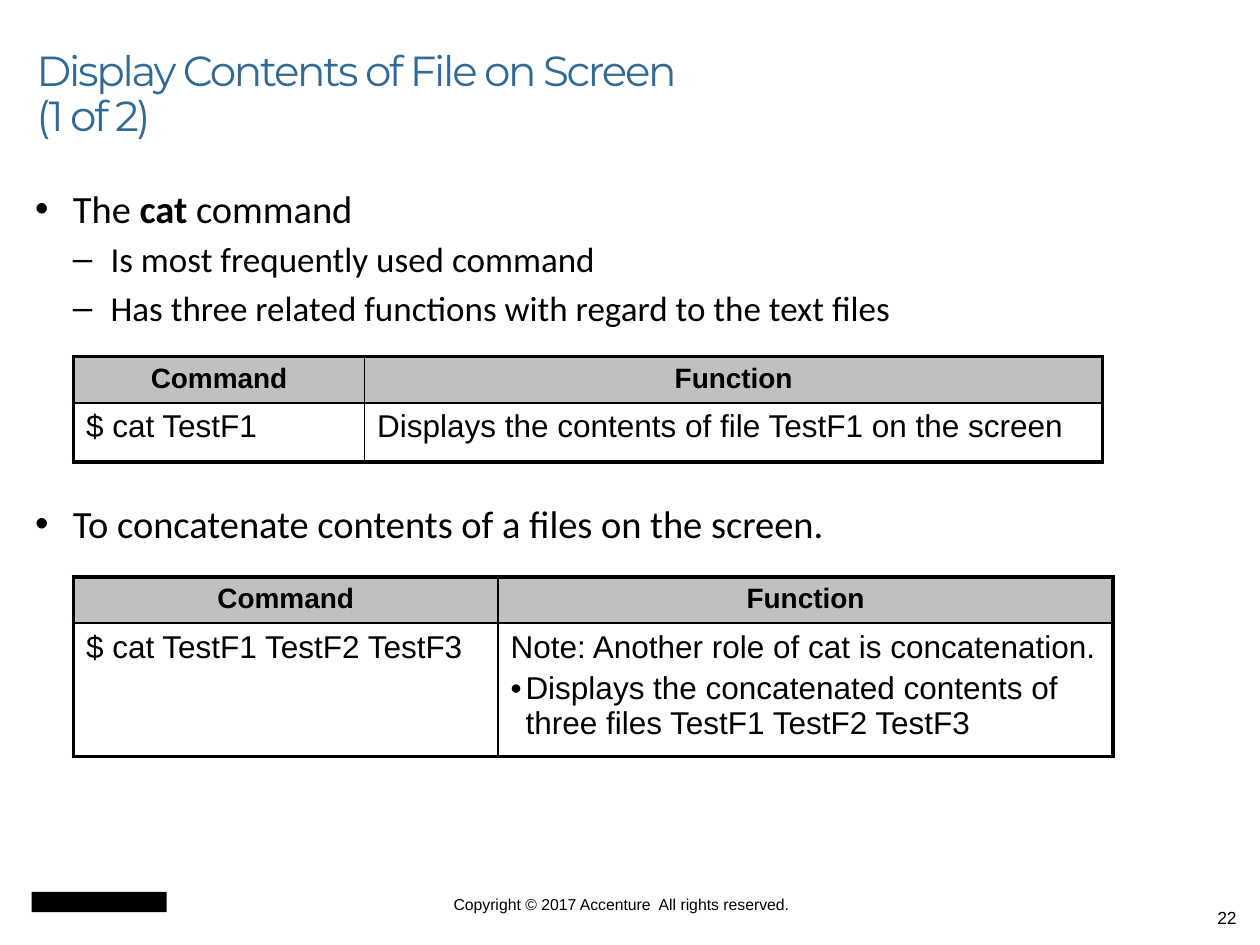
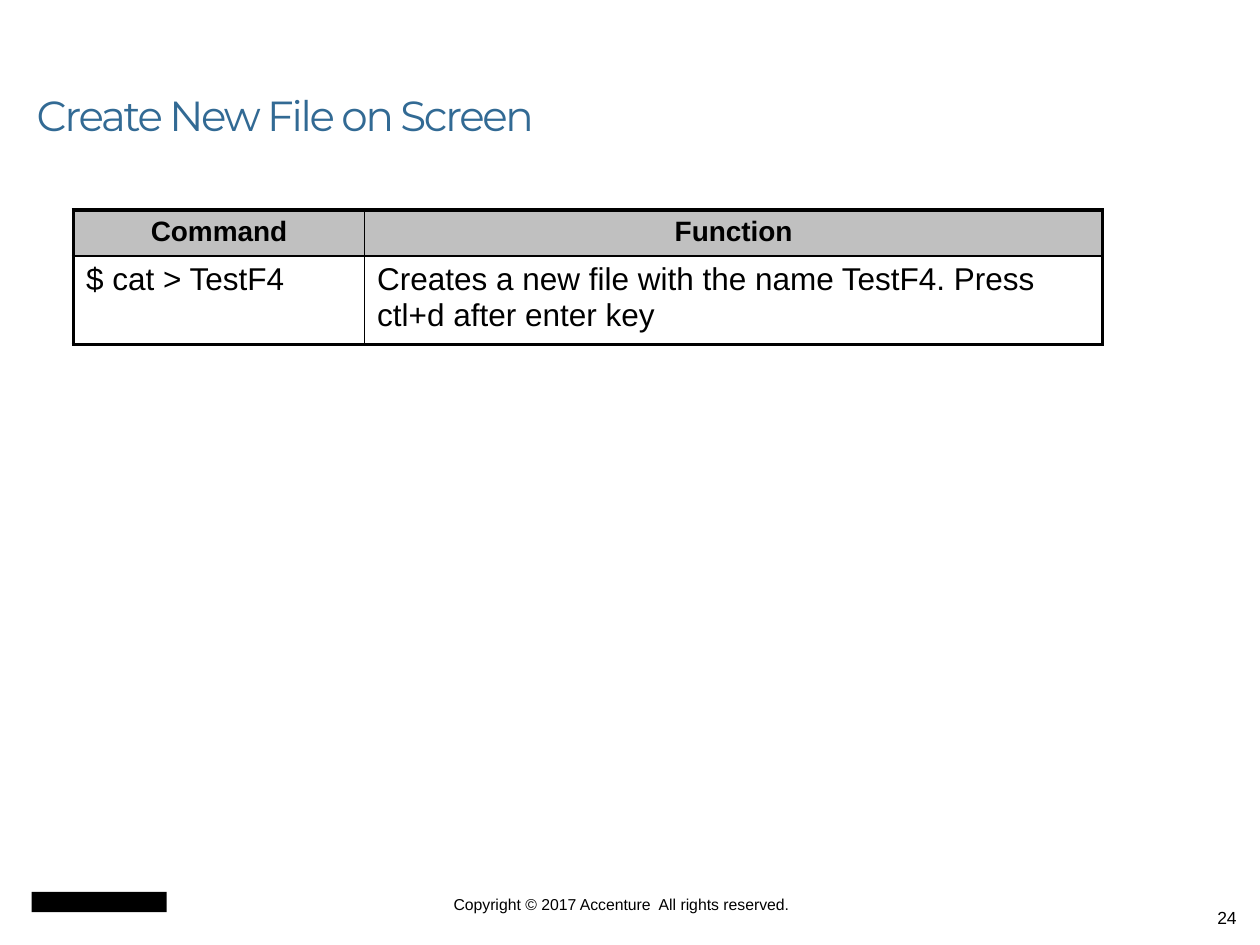
from lxml import etree
from pptx import Presentation
from pptx import util as u
from pptx.dml.color import RGBColor
from pptx.enum import shapes, text
from pptx.oxml import ns

BLACK = RGBColor(0x00, 0x00, 0x00)
TITLE_BLUE = RGBColor(0x32, 0x6A, 0x94)
GREY = RGBColor(0xC0, 0xC0, 0xC0)
TITLE_FONT, BODY_FONT, TABLE_FONT = "Montserrat", "Calibri", "Arial"
LEFT, CENTER, RIGHT = text.PP_ALIGN.LEFT, text.PP_ALIGN.CENTER, text.PP_ALIGN.RIGHT
OUTER, INNER = u.Pt(2.25), u.Pt(1)
TABLE_LEFT, HEADER_HEIGHT = 1.48, 0.91
TABLE_GAP = u.Pt(98)  # room a table takes between two bullets

# Each slide: number, title lines, bullets (level, follows a table, runs) and
# tables (top, column widths, row height, command, function lines)
SLIDES = [
    (
        "22",
        ["Display Contents of File on Screen ", "(1 of 2)"],
        [
            (0, False, [("The ", False), ("cat", True), (" command", False)]),
            (1, False, [("Is most frequently used command", False)]),
            (1, False, [("Has three related functions with regard to the text files", False)]),
            (0, True, [("To concatenate contents of a files on the screen.", False)]),
        ],
        [
            (7.19, [5.87, 14.88], 1.19, "$ cat TestF1",
             [("Displays the contents of file TestF1 on the screen", None)]),
            (11.63, [8.56, 12.4], 2.69, "$ cat TestF1 TestF2 TestF3",
             [("Note: Another role of cat is concatenation.", None),
              ("Displays the concatenated contents of three files TestF1 TestF2 TestF3", "•")]),
        ],
    ),
    (
        "24",
        ["Create New File on Screen"],
        [],
        [
            (4.23, [5.87, 14.88], 1.77, "$ cat > TestF4",
             [("Creates a new file with the name TestF4. Press ctl+d after enter key", None)]),
        ],
    ),
]


def add_box(slide, left, top, width, height):
    box = slide.shapes.add_textbox(u.Cm(left), u.Cm(top), u.Cm(width), u.Cm(height))
    box.text_frame.word_wrap = True
    return box.text_frame


def add_line(frame, runs, font, size, color=BLACK, align=LEFT, mark=None, margin=0, hang=0):
    paragraph = frame.paragraphs[0]
    if paragraph.runs:
        paragraph = frame.add_paragraph()
        paragraph.space_before = u.Pt(size * 0.2)
    paragraph.alignment = align
    if mark:
        props = paragraph._p.get_or_add_pPr()
        props.set("marL", str(u.Cm(margin)))
        props.set("indent", str(-u.Cm(hang)))
        etree.SubElement(props, ns.qn("a:buFont")).set("typeface", "Arial")
        etree.SubElement(props, ns.qn("a:buChar")).set("char", mark)
    for words, bold in runs:
        run = paragraph.add_run()
        run.text = words
        run.font.name, run.font.size, run.font.bold = font, u.Pt(size), bold
        run.font.color.rgb = color
    return paragraph


deck = Presentation()
deck.slide_width, deck.slide_height = u.Cm(25.4), u.Cm(19.05)

for number, title_lines, bullets, tables in SLIDES:
    slide = deck.slides.add_slide(deck.slide_layouts[6])

    # Footer: plain block, copyright, slide number
    block = slide.shapes.add_shape(
        shapes.MSO_SHAPE.RECTANGLE, u.Cm(0.64), u.Cm(17.98), u.Cm(2.72), u.Cm(0.41))
    block.shadow.inherit = False
    block.fill.solid()
    block.fill.fore_color.rgb = BLACK
    block.line.fill.background()

    copyright_line = add_box(slide, 6.99, 18.03, 11.07, 0.38)
    copyright_line.margin_left = copyright_line.margin_right = 0
    copyright_line.margin_top = copyright_line.margin_bottom = 0
    add_line(copyright_line, [("Copyright © 2017 Accenture  All rights reserved.", False)],
             TABLE_FONT, 9, align=CENTER)
    page_number = add_box(slide, 19.26, 17.73, 5.92, 1.32)
    page_number.margin_top = u.Cm(0.55)
    add_line(page_number, [(number, False)], TABLE_FONT, 10, align=RIGHT)

    # Title
    title = add_box(slide, 0.49, 0.42, 22.66, 2.54)
    title.vertical_anchor = text.MSO_ANCHOR.BOTTOM
    heading = title.paragraphs[0]
    heading.line_spacing = 0.9
    for i, line in enumerate(title_lines):
        if i:
            heading.add_line_break()
        run = heading.add_run()
        run.text = line
        run.font.name, run.font.size = TITLE_FONT, u.Pt(24)
        run.font.color.rgb = TITLE_BLUE
        run.font._element.set("spc", "-130")

    # Bullets
    if bullets:
        body = add_box(slide, 0.46, 3.6, 23.67, 13.34)
    for level, after_table, runs in bullets:
        bullet = add_line(body, runs, BODY_FONT, 22 - 2 * level, mark="•–"[level],
                          margin=0.76 * (level + 1), hang=0.76)
        if after_table:
            bullet.space_before = TABLE_GAP

    # Command tables
    for top, widths, row_height, command, function_lines in tables:
        heights = [HEADER_HEIGHT, row_height]
        grid = slide.shapes.add_table(
            2, 2, u.Cm(TABLE_LEFT), u.Cm(top), u.Cm(sum(widths)), u.Cm(sum(heights))).table
        grid.first_row = grid.horz_banding = False
        for i in range(2):
            grid.columns[i].width = u.Cm(widths[i])
            grid.rows[i].height = u.Cm(heights[i])

        contents = [[[("Command", None)], [("Function", None)]],
                    [[(command, None)], function_lines]]
        for r, row in enumerate(contents):
            for c, lines in enumerate(row):
                cell = grid.cell(r, c)
                header = r == 0
                for words, mark in lines:
                    add_line(cell.text_frame, [(words, header)], TABLE_FONT,
                             16 if header else 18, align=CENTER if header else LEFT,
                             mark=mark, margin=0.3, hang=0.3)
                # Thick outline, thin inner rules
                for side, outside in (("L", c == 0), ("R", c == 1), ("T", r == 0), ("B", r == 1)):
                    edge = etree.SubElement(cell._tc.get_or_add_tcPr(), ns.qn("a:ln" + side))
                    edge.set("w", str(OUTER if outside else INNER))
                    ink = etree.SubElement(edge, ns.qn("a:solidFill"))
                    etree.SubElement(ink, ns.qn("a:srgbClr")).set("val", str(BLACK))
                if header:
                    cell.fill.solid()
                    cell.fill.fore_color.rgb = GREY
                else:
                    cell.fill.background()

deck.save("out.pptx")
